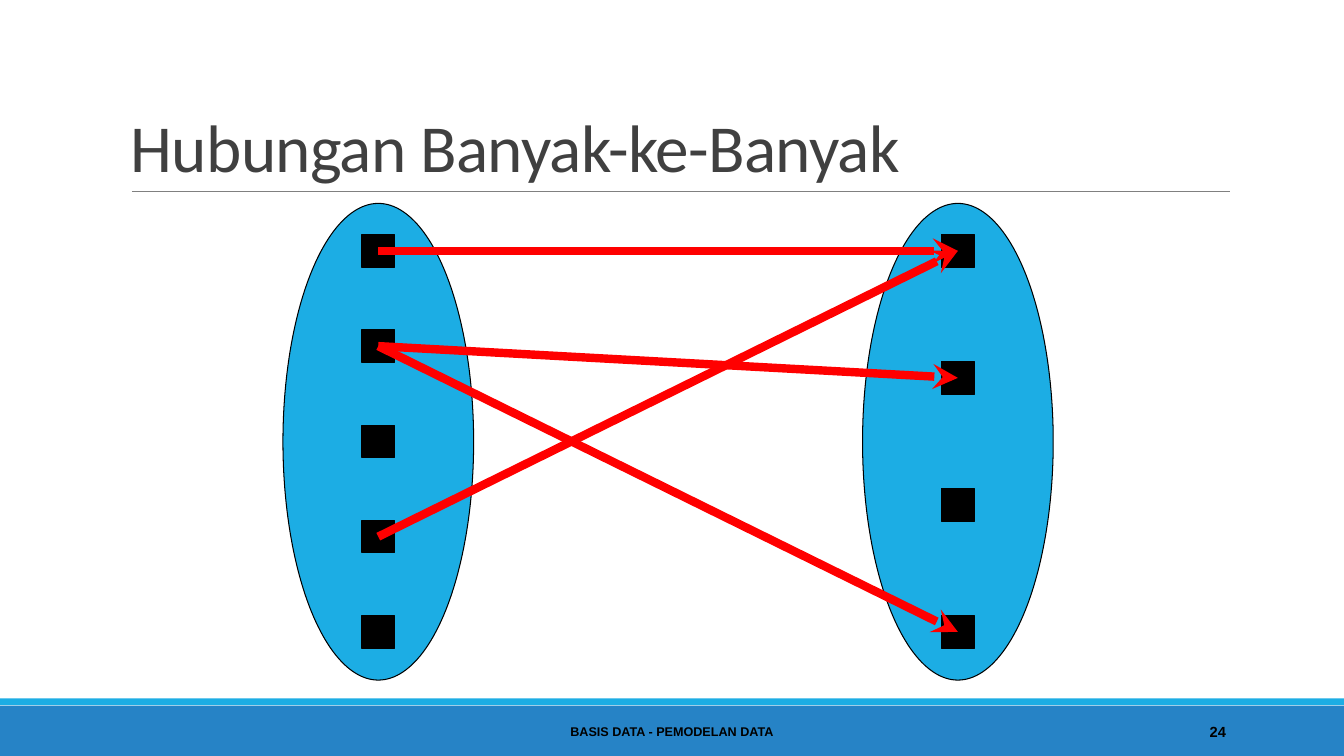
"""Build the many-to-many relationship slide."""
from dataclasses import dataclass

from lxml.etree import SubElement
from pptx import Presentation
from pptx.dml.color import RGBColor
from pptx.enum.shapes import MSO_CONNECTOR as Connector, MSO_SHAPE as Preset
from pptx.enum.text import MSO_ANCHOR as Anchor, PP_ALIGN as Align
from pptx.oxml.ns import qn
from pptx.slide import Slide
from pptx.util import Pt

BLACK, RED, SKY, BLUE = "000000", "FF0000", "1CADE4", "2683C6"
TOP_ROW, BOTTOM_ROW = 179.2, 451.4
MARKER_SIZE = 23.2
SET_TOP, SET_WIDTH, SET_HEIGHT = 145.3, 136.2, 340.5


@dataclass
class EntitySet:
    center: float
    count: int

    def row(self, index: int) -> float:
        return TOP_ROW + index * (BOTTOM_ROW - TOP_ROW) / (self.count - 1)


@dataclass
class Label:
    text: str
    left: float
    top: float
    width: float
    height: float
    size: float
    align: Align
    font: str = "Arial"
    color: str = BLACK
    bold: bool = True
    anchor: Anchor = Anchor.MIDDLE
    line_spacing: float = 1.0
    tracking: int = 0


LEFT_SET, RIGHT_SET = EntitySet(270.2, 5), EntitySet(684.2, 4)
RELATIONS = [(0, 0), (1, 1), (3, 0), (1, 3)]
LABELS = [
    Label("Hubungan Banyak-ke-Banyak", 86.4, 22.4, 792, 114.4, 48, Align.LEFT,
          "Calibri", "404040", False, Anchor.BOTTOM, 0.85, -50),
    Label("BASIS DATA - PEMODELAN DATA", 290.2, 508.3, 379.4, 28.8, 9, Align.CENTER),
    Label("24", 779.8, 508.3, 103, 28.8, 10.5, Align.RIGHT),
]


def rgb(color: str) -> RGBColor:
    return RGBColor.from_string(color)


def add_filled(page: Slide, preset: Preset, left: float, top: float, width: float,
               height: float, fill: str, outlined: bool = True) -> None:
    shape = page.shapes.add_shape(preset, Pt(left), Pt(top), Pt(width), Pt(height))
    shape.shadow.inherit = False
    shape.fill.solid()
    shape.fill.fore_color.rgb = rgb(fill)
    if outlined:
        shape.line.color.rgb = rgb(BLACK)
        shape.line.width = Pt(0.75)
    else:
        shape.line.fill.background()


def add_line(page: Slide, start: tuple[float, float], end: tuple[float, float],
             color: str, width: float, arrow: bool = False) -> None:
    line = page.shapes.add_connector(
        Connector.STRAIGHT, *(Pt(value) for value in (*start, *end)))
    line.line.color.rgb = rgb(color)
    line.line.width = Pt(width)
    if arrow:
        SubElement(line.get_or_add_ln(), qn("a:tailEnd"), type="stealth")
    SubElement(line.element.spPr, qn("a:effectLst"))


def add_label(page: Slide, label: Label) -> None:
    box = page.shapes.add_textbox(
        Pt(label.left), Pt(label.top), Pt(label.width), Pt(label.height))
    frame = box.text_frame
    frame.word_wrap = True
    frame.vertical_anchor = label.anchor
    frame.text = label.text
    para = frame.paragraphs[0]
    para.alignment = label.align
    para.line_spacing = label.line_spacing
    span = para.runs[0]
    span.font.name = label.font
    span.font.size = Pt(label.size)
    span.font.bold = label.bold
    span.font.color.rgb = rgb(label.color)
    if label.tracking:
        for properties in box.element.iter(qn("a:rPr")):
            properties.set("spc", str(label.tracking))


def add_entity_set(page: Slide, entity_set: EntitySet) -> None:
    add_filled(page, Preset.OVAL, entity_set.center - SET_WIDTH / 2, SET_TOP,
               SET_WIDTH, SET_HEIGHT, SKY)
    for index in range(entity_set.count):
        add_filled(page, Preset.RECTANGLE, entity_set.center - MARKER_SIZE / 2,
                   entity_set.row(index) - MARKER_SIZE / 2,
                   MARKER_SIZE, MARKER_SIZE, BLACK)


def main() -> None:
    deck = Presentation()
    deck.slide_width, deck.slide_height = Pt(960), Pt(540)
    page = deck.slides.add_slide(deck.slide_layouts[6])
    add_filled(page, Preset.RECTANGLE, 0, 504, 960, 36, BLUE, outlined=False)
    add_filled(page, Preset.RECTANGLE, 0, 498.8, 960, 5, SKY, outlined=False)
    add_line(page, (94.2, 136.8), (878.8, 136.8), "808080", 0.5)
    for label in LABELS:
        add_label(page, label)
    for entity_set in (LEFT_SET, RIGHT_SET):
        add_entity_set(page, entity_set)
    for source, target in RELATIONS:
        add_line(page, (LEFT_SET.center, LEFT_SET.row(source)),
                 (RIGHT_SET.center, RIGHT_SET.row(target)), RED, 6, arrow=True)
    deck.save("out.pptx")


if __name__ == "__main__":
    main()
